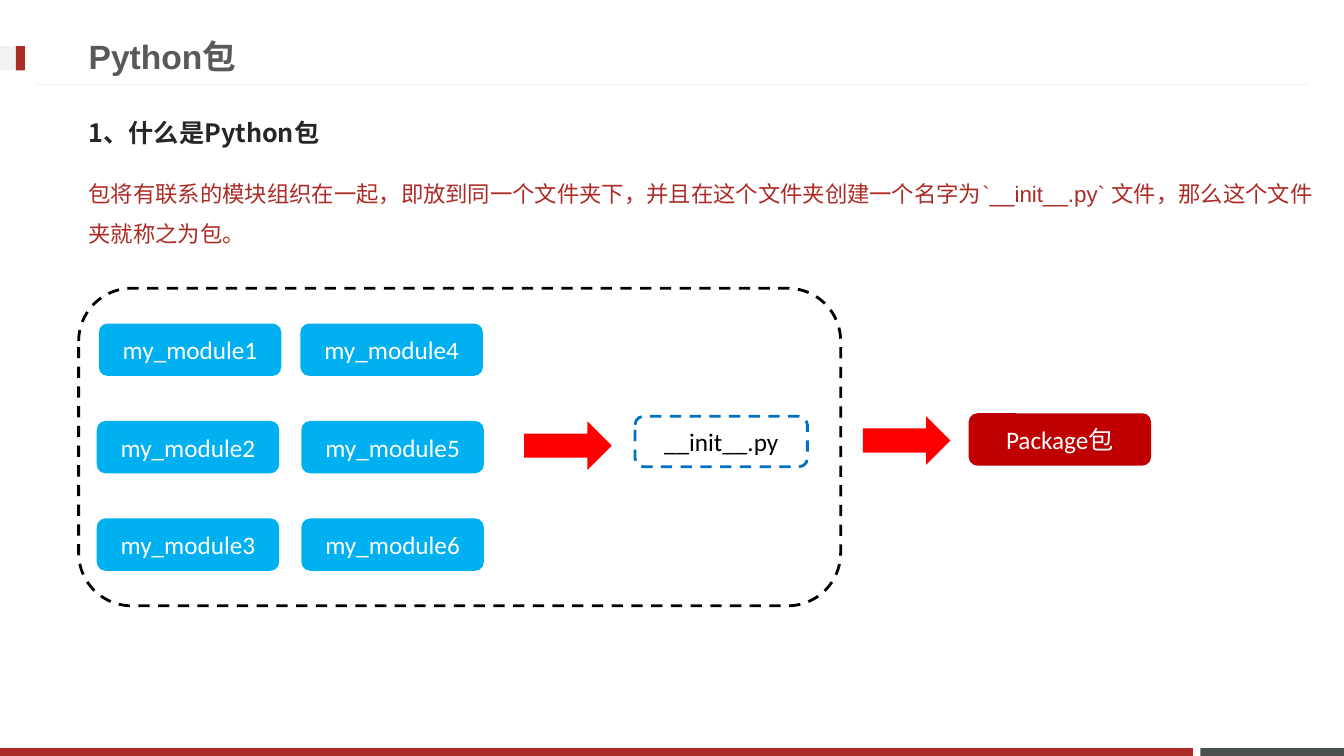
from lxml.etree import SubElement
from pptx import Presentation
from pptx.dml.color import RGBColor
from pptx.enum.dml import MSO_LINE
from pptx.enum.shapes import MSO_CONNECTOR, MSO_SHAPE as SHAPE
from pptx.enum.text import MSO_ANCHOR as ANCHOR, PP_ALIGN as ALIGN
from pptx.oxml.ns import qn
from pptx.util import Pt

COLORS = {
    "brick": "AD2B26", "slate": "49504F", "pale": "F2F2F2",
    "title": "595959", "heading": "262626", "white": "FFFFFF", "black": "000000",
    "module": "00B0F0", "arrow": "FF0000", "init": "0070C0", "package": "C00000",
}

deck = Presentation()
deck.slide_width, deck.slide_height = Pt(960), Pt(540)
page = deck.slides.add_slide(deck.slide_layouts[6])


def add_span(para, text, size, font, color, bold=False):
    """Add a run that uses one font for Latin and Chinese characters."""
    span = para.add_run()
    span.text = text
    span.font.size = Pt(size)
    span.font.bold = bold
    span.font.color.rgb = RGBColor.from_string(COLORS[color])
    span.font.name = font
    SubElement(span.font._element, qn("a:ea"), typeface=font)


def add_block(kind, left, top, width, height, fill=None, dash=None, text="", color="white"):
    """Add a filled or dashed shape with an optional centred label."""
    block = page.shapes.add_shape(kind, Pt(left), Pt(top), Pt(width), Pt(height))
    block.shadow.inherit = False
    if fill:
        block.fill.solid()
        block.fill.fore_color.rgb = RGBColor.from_string(COLORS[fill])
    else:
        block.fill.background()
    if dash:
        block.line.color.rgb = RGBColor.from_string(COLORS[dash])
        block.line.width = Pt(2)
        block.line.dash_style = MSO_LINE.DASH
    else:
        block.line.fill.background()
    if text:
        block.text_frame.vertical_anchor = ANCHOR.MIDDLE
        para = block.text_frame.paragraphs[0]
        para.alignment = ALIGN.CENTER
        add_span(para, text, 18, "Calibri", color)


# Page frame
add_block(SHAPE.RECTANGLE, 857.5, 534.3, 102.5, 5.7, "slate")
add_block(SHAPE.RECTANGLE, 0, 534.3, 852, 5.7, "brick")
rule = page.shapes.add_connector(MSO_CONNECTOR.STRAIGHT, Pt(934.5), Pt(60.3), Pt(25.5), Pt(60.3))
rule.line.color.rgb = RGBColor.from_string(COLORS["pale"])
rule.line.width = Pt(0.75)
SubElement(rule._element.spPr, qn("a:effectLst"))
add_block(SHAPE.RECTANGLE, 0, 33, 18, 17.3, "pale")
add_block(SHAPE.RECTANGLE, 11.3, 33, 6.5, 17.3, "brick")

# Title, heading and definition
definition = ("包将有联系的模块组织在一起，即放到同一个文件夹下，并且在这个文件夹创建一个名字为"
              "`__init__.py` 文件，那么这个文件夹就称之为包。")
for text, top, width, height, size, font, color, bold, anchor, before, spacing in (
    ("Python包", 19.4, 690.5, 41, 24, "Arial", "title", True, ANCHOR.MIDDLE, 0, 1),
    ("1、什么是Python包", 74.2, 846.7, 41, 18, "Noto Sans CJK JP", "heading", True,
     ANCHOR.MIDDLE, 3.6, 1),
    (definition, 115.2, 889.2, 406.8, 16, "Arial", "brick", False, ANCHOR.TOP, 3.2, 1.5),
):
    box = page.shapes.add_textbox(Pt(56.2), Pt(top), Pt(width), Pt(height))
    box.text_frame.word_wrap = True
    box.text_frame.vertical_anchor = anchor
    para = box.text_frame.paragraphs[0]
    para.space_before = Pt(before)
    para.line_spacing = spacing
    add_span(para, text, size, font, color, bold)

# Modules, numbered down each column; the first row sits slightly off the others
MODULE_LEFTS = ((70.6, 69.1, 69.1), (214.6, 215.3, 215.3))
for column, lefts in enumerate(MODULE_LEFTS):
    for row, left in enumerate(lefts):
        add_block(SHAPE.ROUNDED_RECTANGLE, left, 231.1 + 69.6 * row, 130.3, 37.4,
                  "module", text=f"my_module{column * 3 + row + 1}")

# Package folder and the flow to the finished package
add_block(SHAPE.ROUNDED_RECTANGLE, 56.2, 205.9, 544.3, 226.8, dash="black")
for left, top in ((374.4, 301), (616.3, 297.4)):
    add_block(SHAPE.RIGHT_ARROW, left, top, 62.6, 34.6, "arrow")
add_block(SHAPE.ROUNDED_RECTANGLE, 453.6, 297.4, 123.1, 36, dash="init",
          text="__init__.py", color="black")
add_block(SHAPE.ROUNDED_RECTANGLE, 691.9, 295.2, 130.3, 37.4, "package", text="Package包")

deck.save("out.pptx")
